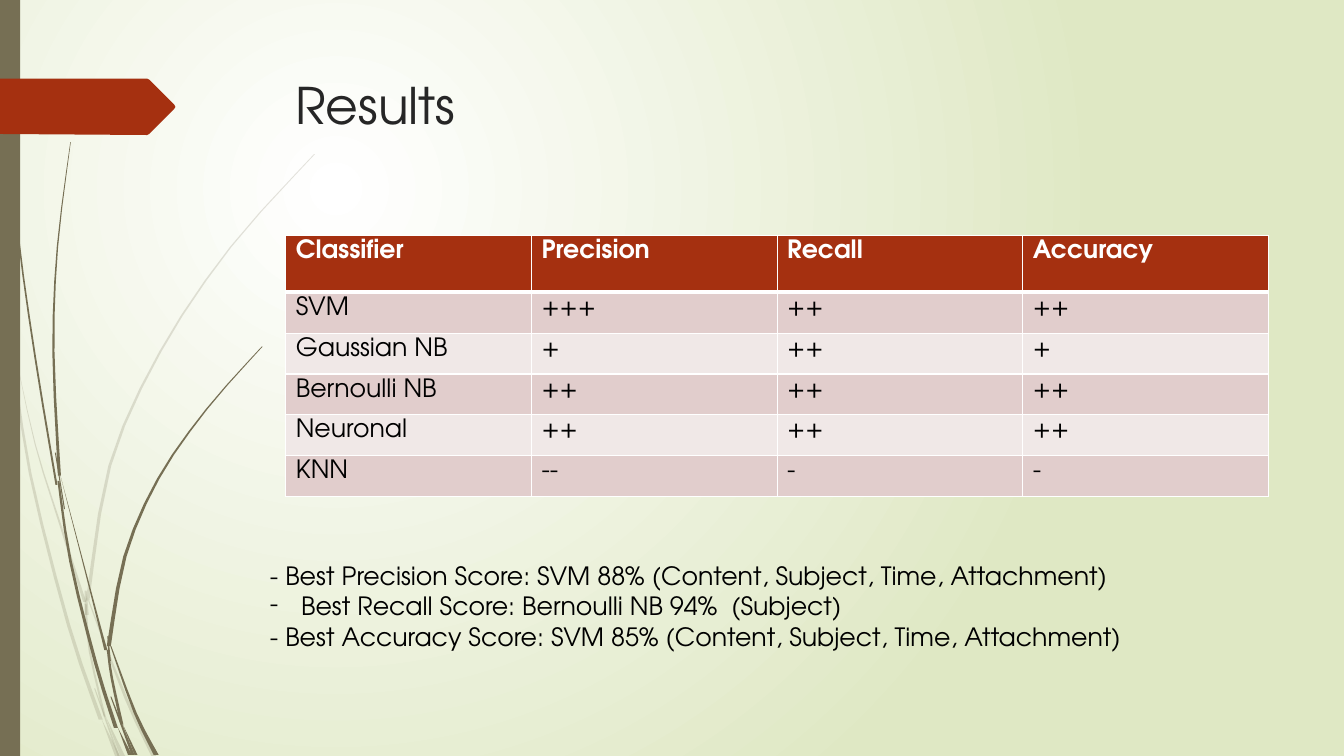
from dataclasses import dataclass

from lxml import etree
from pptx import Presentation
from pptx import util as u
from pptx.dml.color import RGBColor
from pptx.enum import shapes, text
from pptx.oxml import ns, parse_xml

CELL = u.Inches(0.1)  # grid: 133.33 columns by 75 rows
COLUMNS, ROWS = 133.33, 75
SAMPLES = 3  # steps between two neighbouring points of a blade

Point = tuple[float, float]


@dataclass(frozen=True)
class Theme:
    font: str = "TeX Gyre Adventor"
    accent: str = "A53010"
    earth: str = "766F54"
    heading: str = "262626"
    ink: str = "000000"
    white: str = "FFFFFF"
    meadow: str = "DFE8C4"
    bands: tuple[str, str] = ("E1CDCC", "F0E8E7")
    pale: int = 20
    title_size: float = 36
    body_size: float = 18


THEME = Theme()


@dataclass(frozen=True)
class Blade:
    """Widths at the tip and at the foot, and the centre line between them."""
    tip: float
    foot: float
    points: list[Point]


PALE_GRASS = [
    Blade(0, 0.2, [(0, 28.2), (1, 35)]),
    Blade(0, 0.3, [(1.4, 34.5), (3.5, 44.1), (6, 52.1), (8.4, 59.7)]),
    Blade(0.1, 0.5, [(8.8, 59.6), (12.5, 69.3), (15.3, 75.1)]),
    Blade(0, 0.5, [(10.5, 71.1), (12.2, 75.1)]),
    Blade(0.2, 0.4, [(1.2, 35), (3, 47), (6.8, 62), (10, 71.4)]),
    Blade(0.2, 0.2, [(8.5, 59.9), (8.9, 64.6), (10.4, 71.1)]),
    Blade(0.1, 0.35, [(31.2, 15.3), (22.9, 24.5), (15.9, 34.9), (10.9, 46.2), (8.7, 59.6)]),
    Blade(0, 0.5, [(10.1, 71.4), (11.7, 75.1)]),
    Blade(0.2, 0.4, [(8.5, 58.6), (8.6, 61)]),
    Blade(0.1, 0.2, [(9.4, 68.3), (11.8, 75.1)]),
]
DARK_GRASS = [
    Blade(0.1, 0.2, [(0.4, 0), (0.8, 11), (1.8, 23.3), (3.5, 35.5), (5.6, 48.1)]),
    Blade(0, 0.3, [(6, 47.2), (9.1, 59.1), (10.5, 64.5)]),
    Blade(0.1, 0.5, [(11, 64.1), (13.4, 70.7), (15.5, 74.9)]),
    Blade(0.2, 0.4, [(5.8, 47.7), (7, 55.7), (9.5, 65.8), (11.5, 72.2)]),
    Blade(0.05, 0.3, [(7, 14.1), (5.7, 24.5), (5.3, 34.9), (5.9, 47.2)]),
    Blade(0, 0.3, [(12.2, 71.9), (13.5, 74.9)]),
    Blade(0.1, 0.1, [(5.5, 44.9), (6.4, 50.5)]),
    Blade(0.1, 0.4, [(26, 34.4), (20.5, 40.6), (15.7, 47.5), (12.4, 55.2), (10.8, 64.1)]),
    Blade(0, 0.4, [(11.7, 72.2), (12.9, 74.9)]),
    Blade(0.2, 0.3, [(10.7, 64.5), (11.1, 67.3), (12.1, 71.9)]),
    Blade(0.1, 0.2, [(10.7, 63.1), (10.9, 65.6)]),
    Blade(0.1, 0.3, [(11, 69.1), (13.2, 74.9)]),
]
ARROW = [(0, 7.8), (14.6, 7.8), (14.8, 7.9), (17.3, 10.4), (17.4, 10.6), (17.3, 10.8),
         (14.8, 13.3), (14.6, 13.4), (0, 13.3)]

RESULTS = [
    ("Classifier", "Precision", "Recall", "Accuracy"),
    ("SVM", "+++", "++", "++"),
    ("Gaussian NB", "+", "++", "+"),
    ("Bernoulli NB", "++", "++", "++"),
    ("Neuronal", "++", "++", "++"),
    ("KNN", "--", "-", "-"),
]
NOTES = [
    "- Best Precision Score: SVM 88% (Content, Subject, Time, Attachment)",
    "Best Recall Score: Bernoulli NB 94%  (Subject)",
    "- Best Accuracy Score: SVM 85% (Content, Subject, Time, Attachment)",
]


def grid(cells: float) -> u.Emu:
    return u.Emu(round(cells * CELL))


def paint(shape, colour: str, opacity: int = 100) -> None:
    """Give a shape a plain fill without line or shadow."""
    shape.shadow.inherit = False
    shape.line.fill.background()
    shape.fill.solid()
    shape.fill.fore_color.rgb = RGBColor.from_string(colour)
    if opacity < 100:
        value = shape.fill._xPr.find(".//" + ns.qn("a:srgbClr"))
        etree.SubElement(value, ns.qn("a:alpha"), val=str(opacity * 1000))


def write(para, words: str, *, size: float = THEME.body_size,
          colour: str = THEME.ink, bold: bool = False) -> None:
    span = para.add_run()
    span.text = words
    span.font.name, span.font.size, span.font.bold = THEME.font, u.Pt(size), bold
    span.font.color.rgb = RGBColor.from_string(colour)


def add_box(page, left: float, top: float, width: float, height: float):
    box = page.shapes.add_textbox(*map(grid, (left, top, width, height)))
    box.text_frame.word_wrap = True
    box.text_frame.vertical_anchor = text.MSO_ANCHOR.TOP
    return box.text_frame


def add_outline(page, points: list[Point], colour: str, opacity: int = 100) -> None:
    start, *others = [(grid(x), grid(y)) for x, y in points]
    pen = page.shapes.build_freeform(*start, scale=1.0)
    pen.add_line_segments(others, close=True)
    paint(pen.convert_to_shape(), colour, opacity)


def smooth(points: list[Point]) -> list[Point]:
    """Run a Catmull-Rom curve through the points."""
    if len(points) == 2:
        return points
    padded = [points[0], *points, points[-1]]
    curve = []
    for a, b, c, d in zip(padded, padded[1:], padded[2:], padded[3:]):
        for step in range(SAMPLES):
            t = step / SAMPLES
            curve.append(tuple(
                q + t * (r - p) / 2 + t**2 * (2 * p - 5 * q + 4 * r - s) / 2
                + t**3 * (3 * q - p - 3 * r + s) / 2
                for p, q, r, s in zip(a, b, c, d)))
    return [*curve, points[-1]]


def add_blade(page, blade: Blade, opacity: int) -> None:
    """Widen the centre line evenly from tip to foot."""
    curve = smooth(blade.points)
    growth = (blade.foot - blade.tip) / (len(curve) - 1)
    halves = [(blade.tip + growth * index) / 2 for index in range(len(curve))]
    left = [(x - half, y) for (x, y), half in zip(curve, halves)]
    right = [(x + half, y) for (x, y), half in zip(curve, halves)]
    add_outline(page, left + right[::-1], THEME.earth, opacity)


def set_background(page) -> None:
    page.background.fill.solid()
    properties = page.background.fill._xPr
    properties.replace(properties[0], parse_xml(
        f'<a:gradFill {ns.nsdecls("a")} rotWithShape="1"><a:gsLst>'
        f'<a:gs pos="0"><a:srgbClr val="{THEME.white}"/></a:gs>'
        f'<a:gs pos="100000"><a:srgbClr val="{THEME.meadow}"/></a:gs></a:gsLst>'
        '<a:path path="circle"><a:fillToRect l="50000" t="50000" r="100000" b="100000"/>'
        '</a:path></a:gradFill>'))


def set_borders(cell, **widths: float) -> None:
    properties = cell._tc.get_or_add_tcPr()
    for side in "LRTB":
        properties.append(parse_xml(
            f'<a:ln{side} {ns.nsdecls("a")} w="{u.Pt(widths.get(side, 1))}"><a:solidFill>'
            f'<a:srgbClr val="{THEME.white}"/></a:solidFill></a:ln{side}>'))


def add_results(page) -> None:
    table = page.shapes.add_table(len(RESULTS), len(RESULTS[0]),
                                  *map(grid, (28.35, 23.35, 97.5, 25.9))).table
    for index, words in enumerate(RESULTS):
        header = index == 0
        table.rows[index].height = grid(5.65 if header else 4.05)
        for column, word in enumerate(words):
            cell = table.cell(index, column)
            cell.margin_top, cell.margin_bottom = grid(0.45), 0
            set_borders(cell, T=3 if index == 1 else 1, B=3 if header else 1)
            cell.fill.solid()
            cell.fill.fore_color.rgb = RGBColor.from_string(
                THEME.accent if header else THEME.bands[(index - 1) % 2])
            write(cell.text_frame.paragraphs[0], word, bold=header,
                  colour=THEME.white if header else THEME.ink)


def add_notes(page) -> None:
    frame = add_box(page, 25.8, 55.1, 100, 10.1)
    for index, words in enumerate(NOTES):
        para = frame.paragraphs[0] if index == 0 else frame.add_paragraph()
        write(para, words)
        if not words.startswith("-"):
            properties = para._p.get_or_add_pPr()
            properties.set("marL", str(grid(3.1)))
            properties.set("indent", str(-grid(3.1)))
            etree.SubElement(properties, ns.qn("a:buFont"), typeface=THEME.font)
            etree.SubElement(properties, ns.qn("a:buChar"), char="-")


def main() -> None:
    deck = Presentation()
    deck.slide_width, deck.slide_height = grid(COLUMNS), grid(ROWS)
    page = deck.slides.add_slide(deck.slide_layouts[6])
    set_background(page)
    for grass, opacity in ((PALE_GRASS, THEME.pale), (DARK_GRASS, 100)):
        for blade in grass:
            add_blade(page, blade, opacity)
    paint(page.shapes.add_shape(shapes.MSO_SHAPE.RECTANGLE, 0, 0, grid(2), grid(ROWS)),
          THEME.earth)
    add_outline(page, ARROW, THEME.accent)
    title = add_box(page, 28.3, 6.9, 97.5, 14)
    write(title.paragraphs[0], "Results", size=THEME.title_size, colour=THEME.heading)
    add_results(page)
    add_notes(page)
    deck.save("out.pptx")


if __name__ == "__main__":
    main()
